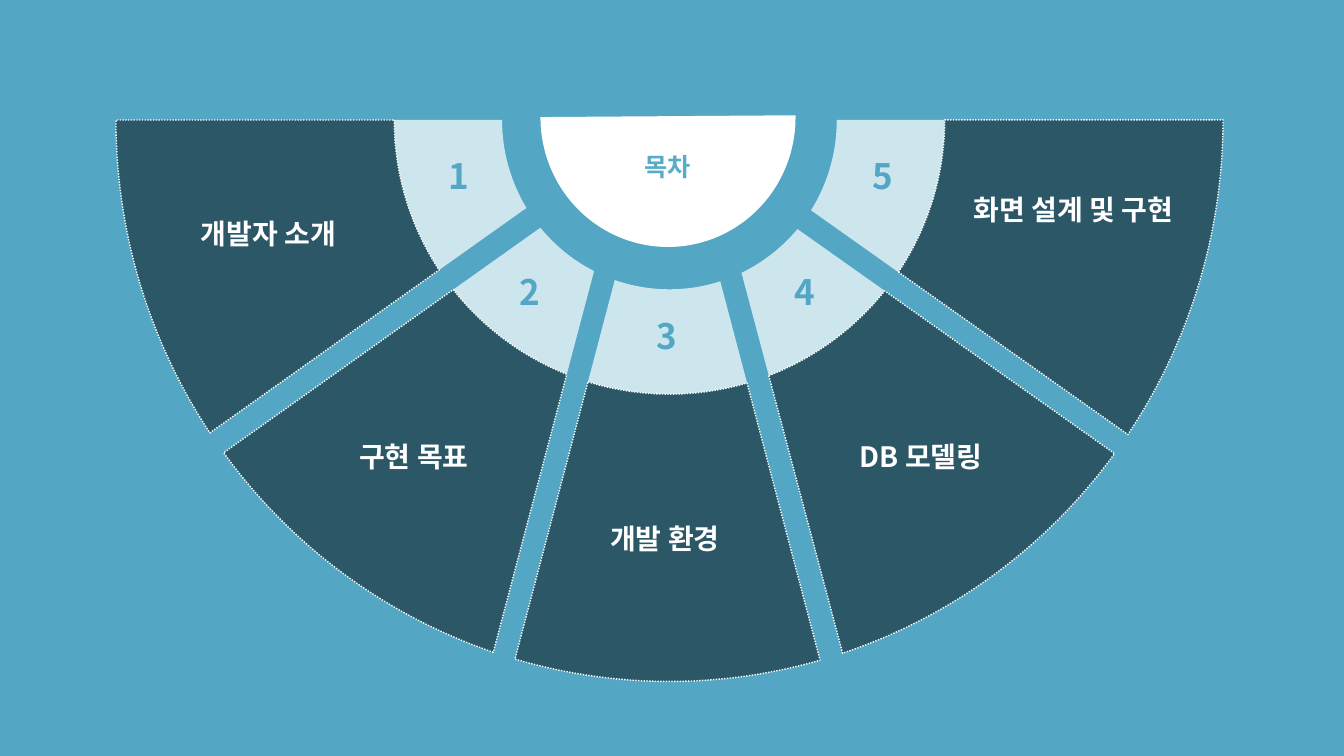
import math
import lxml.etree as etree
import pptx
import pptx.dml.color
import pptx.enum.dml
import pptx.enum.shapes
import pptx.enum.text
import pptx.oxml.ns
import pptx.util

Inches = pptx.util.Inches
RGB = pptx.dml.color.RGBColor
qn = pptx.oxml.ns.qn
BLUE = RGB(0x53, 0xA6, 0xC4)
TITLE = RGB(0x58, 0xAB, 0xC9)
WHITE = RGB(0xFF, 0xFF, 0xFF)
BLACK = RGB(0, 0, 0)
FONT = "Noto Sans CJK KR"

# Fan centre and the half axes of its three arcs, in inches
MID = (6.64, 1.19)
INNER, RIM, OUTER = (1.66, 1.68), (2.73, 2.72), (5.49, 5.57)

# Each sector: two edges as (angle in degrees, sideways shift in inches)
FAN = [
    ((104.75, 0.12), (75.25, -0.08)),
    ((75.1, -0.3), (35.3, 0.15)),
    ((144.6, -0.13), (104.8, 0.34)),
    ((35.3, -0.08), (0, 0)),
    ((180, 0), (144.6, 0.11)),
]

# Label: text, left, top, width, height
LABELS = [
    ("화면 설계 및 구현", 9.4, 1.69, 2.49, 1.32),
    ("DB 모델링", 7.89, 4.14, 2.49, 0.64),
    ("개발 환경", 5.47, 4.96, 2.25, 0.64),
    ("구현 목표", 2.86, 4.14, 2.49, 0.64),
    ("개발자 소개", 1.42, 1.93, 2.49, 0.64),
]
SPOTS = [(3.97, 1.48), (4.68, 2.63), (6.03, 3.07), (7.4, 2.63), (8.18, 1.48)]


def meet(edge, axes):
    """Arc parameter at which a shifted edge crosses an ellipse."""
    turn, shift = math.radians(edge[0]), edge[1]
    rx, ry = axes
    dx, dy = math.cos(turn) / rx, math.sin(turn) / ry
    px, py = -shift * math.sin(turn) / rx, shift * math.cos(turn) / ry
    a, b, c = dx * dx + dy * dy, px * dx + py * dy, px * px + py * py - 1
    s = (-b + math.sqrt(b * b - a * c)) / a
    return math.atan2(py + s * dy, px + s * dx)


def spot(axes, t, pull=0):
    """Point on an ellipse, moved along its tangent by pull."""
    x = math.cos(t) - pull * math.sin(t)
    y = math.sin(t) + pull * math.cos(t)
    return Inches(MID[0] + axes[0] * x), Inches(MID[1] + axes[1] * y)


def arc(axes, first, last):
    """Start point and two Bezier curves, each as three points."""
    t0, t1 = meet(first, axes), meet(last, axes)
    half = (t1 - t0) / 2
    pull = 4 / 3 * math.tan(half / 4)
    curves = [(spot(axes, t, pull), spot(axes, t + half, -pull),
               spot(axes, t + half)) for t in (t0, t0 + half)]
    return spot(axes, t0), curves


class Deck:
    def __init__(self):
        self.file = pptx.Presentation()
        self.file.slide_width = Inches(13.33)
        self.file.slide_height = Inches(7.5)
        self.slide = self.file.slides.add_slide(self.file.slide_layouts[6])
        back = self.slide.background.fill
        back.solid()
        back.fore_color.rgb = BLUE

    def paint(self, shape, color, alpha=100):
        shape.shadow.inherit = False
        shape.fill.solid()
        shape.fill.fore_color.rgb = color
        shape.line.fill.background()
        if alpha < 100:
            tint = shape.fill._xPr.find(".//" + qn("a:srgbClr"))
            etree.SubElement(tint, qn("a:alpha"), val=str(alpha * 1000))

    def hub(self, x, y, w, h):
        kind = pptx.enum.shapes.MSO_SHAPE.CHORD
        shape = self.slide.shapes.add_shape(
            kind, Inches(x), Inches(y), Inches(w), Inches(h))
        shape.adjustments[0] = 107.418
        shape.adjustments[1] = 0.097
        shape.rotation = 180
        self.paint(shape, WHITE)

    def sector(self, edges, near, far, color, alpha, dots=False):
        first, last = edges
        start, inside = arc(near, first, last)
        turn, outside = arc(far, last, first)
        ends = [c[-1] for c in inside] + [turn] + [c[-1] for c in outside]
        pen = self.slide.shapes.build_freeform(*start)
        pen.add_line_segments(ends, close=True)
        shape = pen.convert_to_shape()
        # Bend the lines along both arcs; the third one is a straight edge
        lines = list(shape._element.iter(qn("a:lnTo")))
        for line, curve in zip(lines[:2] + lines[3:5], inside + outside):
            bend = etree.Element(qn("a:cubicBezTo"))
            for x, y in curve:
                etree.SubElement(bend, qn("a:pt"), x=str(x - shape.left),
                                 y=str(y - shape.top))
            line.getparent().replace(line, bend)
        self.paint(shape, color, alpha)
        if dots:
            shape.line.color.rgb = WHITE
            shape.line.width = pptx.util.Pt(1)
            shape.line.dash_style = pptx.enum.dml.MSO_LINE.ROUND_DOT

    def label(self, text, x, y, w, h, size, color, lead=None):
        box = self.slide.shapes.add_textbox(
            Inches(x), Inches(y), Inches(w), Inches(h))
        frame = box.text_frame
        frame.word_wrap = True
        frame.auto_size = pptx.enum.text.MSO_AUTO_SIZE.SHAPE_TO_FIT_TEXT
        frame.text = text
        para = frame.paragraphs[0]
        para.alignment = pptx.enum.text.PP_ALIGN.CENTER
        para.line_spacing = lead
        run = para.runs[0]
        font = run.font
        font.size = pptx.util.Pt(size)
        font.bold = True
        font.color.rgb = color
        font.name = FONT
        etree.SubElement(run._r.get_or_add_rPr(), qn("a:ea"), typeface=FONT)


def main():
    deck = Deck()

    # Hub, light ring, dark ring
    deck.hub(5.36, -0.12, 2.53, 2.57)
    for edges in FAN:
        deck.sector(edges, INNER, RIM, WHITE, 71)
    for edges in FAN:
        deck.sector(edges, RIM, OUTER, BLACK, 47, dots=True)

    # Topics, numbers, title
    for label in LABELS:
        deck.label(*label, 20, WHITE, 1.5)
    for num, (x, y) in enumerate(SPOTS, 1):
        deck.label(str(num), x, y, 1.16, 0.62, 25, BLUE)
    deck.label("목차", 5.74, 1.45, 1.77, 0.4, 18, TITLE)

    deck.file.save("out.pptx")


if __name__ == "__main__":
    main()
